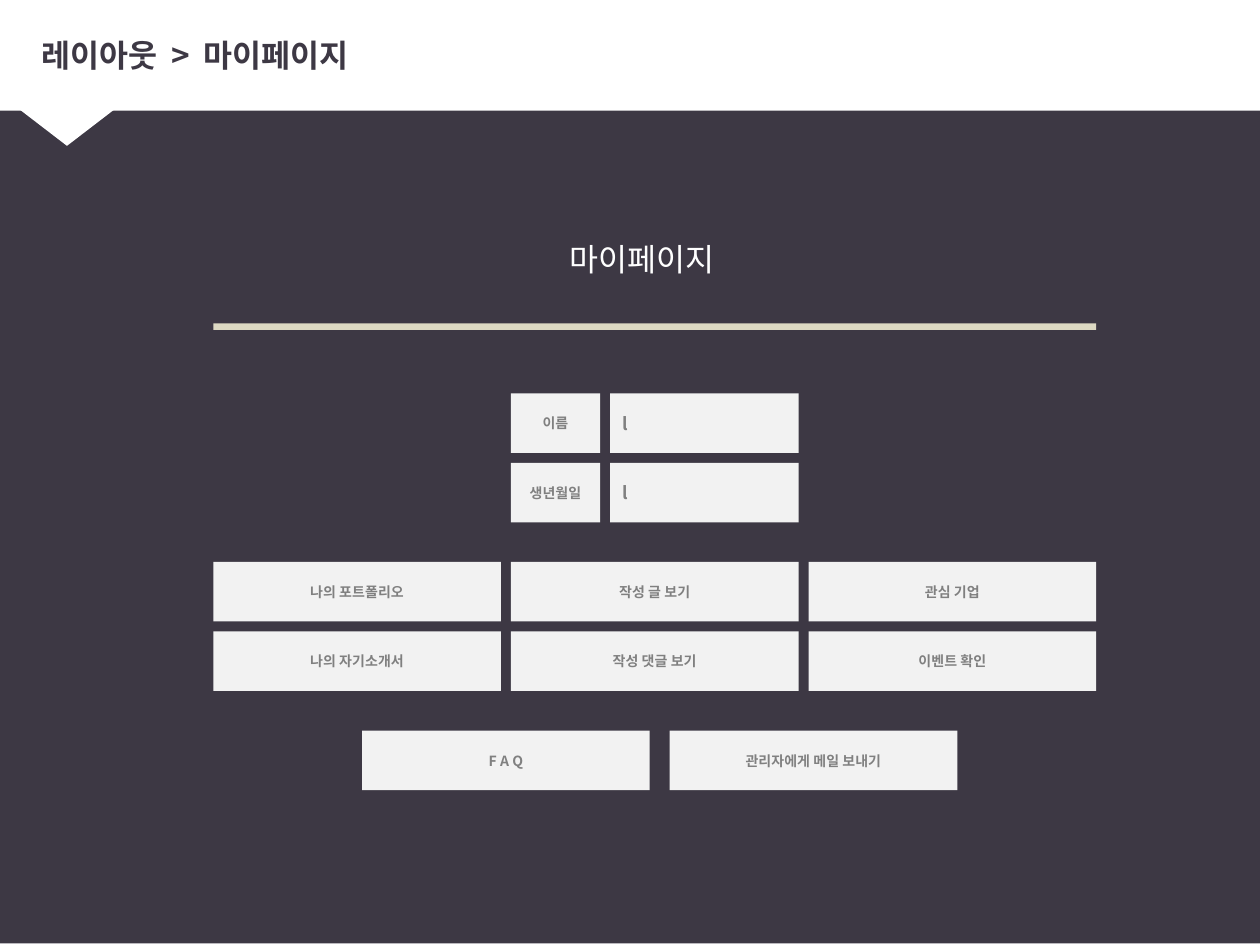
from dataclasses import dataclass

from pptx import Presentation
from pptx.dml.color import RGBColor
from pptx.enum.shapes import MSO_SHAPE as Shape
from pptx.enum.text import MSO_ANCHOR as Anchor, PP_ALIGN as Align
from pptx.util import Cm, Pt

FONT = "Noto Sans CJK KR"
COLORS = {
    "dark": "3D3844",
    "white": "FFFFFF",
    "rule": "DDD9C3",
    "box": "F2F2F2",
    "label": "808080",
}

# Grid in centimetres
LEFT, TOP = 4.3, 7.93
BOX_W, BOX_H, GAP = 5.8, 1.2, 0.2
COL, ROW = BOX_W + GAP, BOX_H + GAP
LABEL_W = 1.8
BUTTON_TOP = TOP + 2 * ROW + 0.6
FOOTER_TOP = BUTTON_TOP + 2 * ROW + 0.6


@dataclass
class Box:
    text: str
    x: float
    y: float
    w: float = BOX_W
    size: int = 8
    align: Align = Align.CENTER


def rgb(name: str) -> RGBColor:
    return RGBColor.from_string(COLORS[name])


def add_block(slide, x: float, y: float, w: float, h: float,
              color: str, kind: Shape = Shape.RECTANGLE):
    sp = slide.shapes.add_shape(kind, Cm(x), Cm(y), Cm(w), Cm(h))
    sp.shadow.inherit = False
    sp.fill.solid()
    sp.fill.fore_color.rgb = rgb(color)
    sp.line.fill.background()
    return sp


def style(p, size: int, color: str, bold: bool, align: Align) -> None:
    p.alignment = align
    p.font.name = FONT
    p.font.size = Pt(size)
    p.font.bold = bold
    p.font.color.rgb = rgb(color)


def add_box(slide, box: Box) -> None:
    sp = add_block(slide, box.x, box.y, box.w, BOX_H, "box")
    tf = sp.text_frame
    tf.vertical_anchor = Anchor.MIDDLE
    p = tf.paragraphs[0]
    p.text = box.text
    style(p, box.size, "label", True, box.align)


def add_text(slide, x: float, y: float, w: float, h: float):
    tf = slide.shapes.add_textbox(Cm(x), Cm(y), Cm(w), Cm(h)).text_frame
    tf.word_wrap = True
    return tf


def main() -> None:
    prs = Presentation()
    prs.slide_width, prs.slide_height = Cm(25.4), Cm(19.05)
    slide = prs.slides.add_slide(prs.slide_layouts[6])

    # Background, header band and its pointer
    add_block(slide, 0, -0.03, 25.76, 19.05, "dark")
    add_block(slide, -0.08, -0.05, 25.84, 2.28, "white")
    pointer = add_block(slide, -0.5, 1.52, 3.7, 1.42, "white",
                        Shape.ISOSCELES_TRIANGLE)
    pointer.rotation = 180

    # Breadcrumb title, with widened spaces around the arrow
    tf = add_text(slide, 0.58, 0.33, 24.54, 1.57)
    tf.vertical_anchor = Anchor.MIDDLE
    p = tf.paragraphs[0]
    style(p, 18, "dark", True, Align.LEFT)
    for part in ("레이아웃", " ", ">", " ", "마이페이지"):
        r = p.add_run()
        r.text = part
        if part == " ":
            r.font._element.set("spc", "400")

    # Page heading and rule
    add_block(slide, LEFT, 6.52, 2 * COL + BOX_W, 0.13, "rule")
    p = add_text(slide, 0, 4.72, 25.9, 1.02).paragraphs[0]
    p.text = "마이페이지"
    style(p, 18, "white", False, Align.CENTER)

    # Profile fields
    label_x = LEFT + COL
    field_x = label_x + LABEL_W + GAP
    for i, name in enumerate(("이름", "생년월일")):
        y = TOP + i * ROW
        add_box(slide, Box("l", field_x, y, BOX_W - LABEL_W - GAP, 10, Align.LEFT))
        add_box(slide, Box(name, label_x, y, LABEL_W))

    # Menu buttons
    menu = (
        ("나의 포트폴리오", "작성 글 보기", "관심 기업"),
        ("나의 자기소개서", "작성 댓글 보기", "이벤트 확인"),
    )
    for i, names in enumerate(menu):
        for j, name in enumerate(names):
            add_box(slide, Box(name, LEFT + j * COL, BUTTON_TOP + i * ROW))

    # Support buttons
    for i, name in enumerate(("F A Q", "관리자에게 메일 보내기")):
        add_box(slide, Box(name, LEFT + COL / 2 + i * (COL + GAP), FOOTER_TOP))

    prs.save("out.pptx")


if __name__ == "__main__":
    main()
